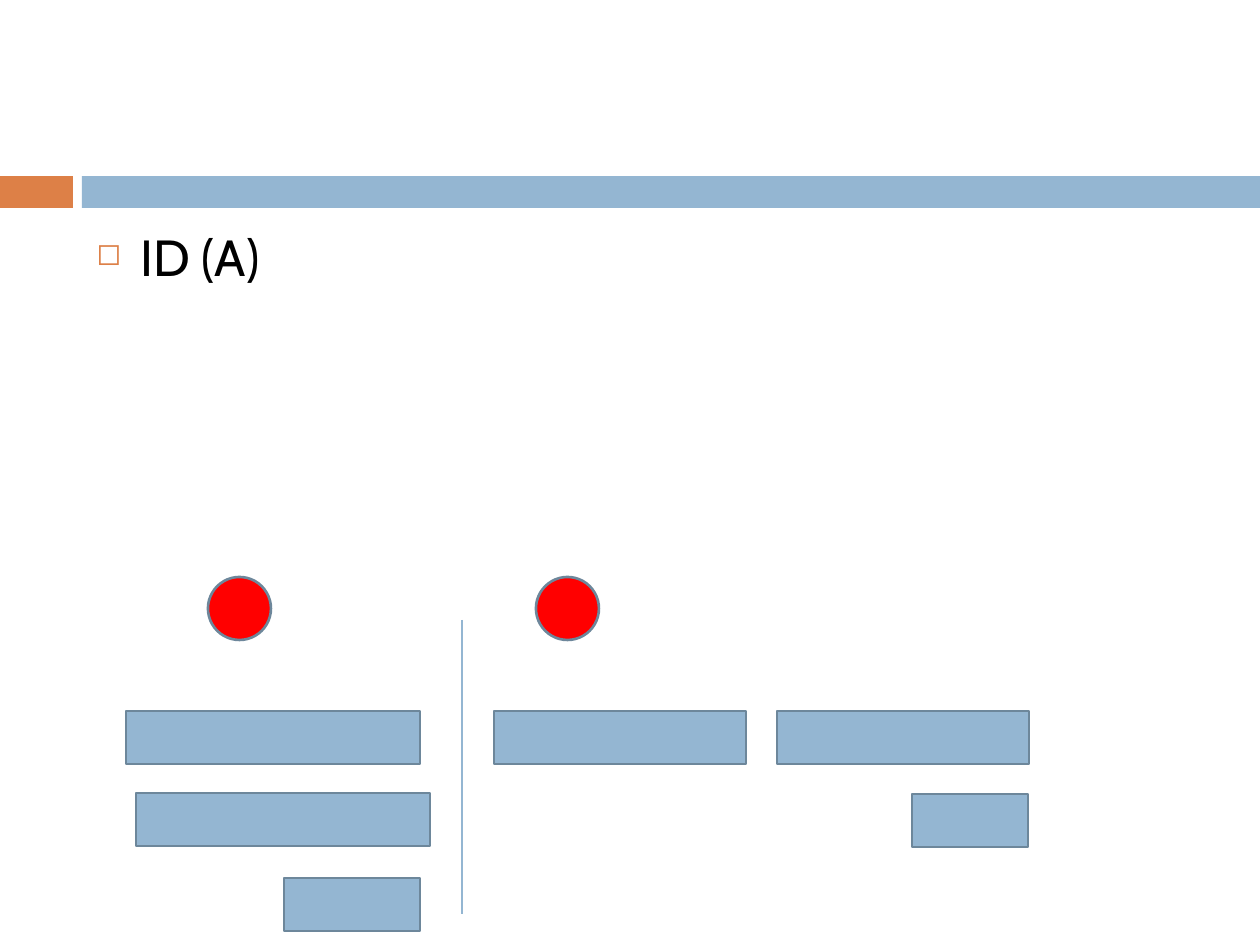
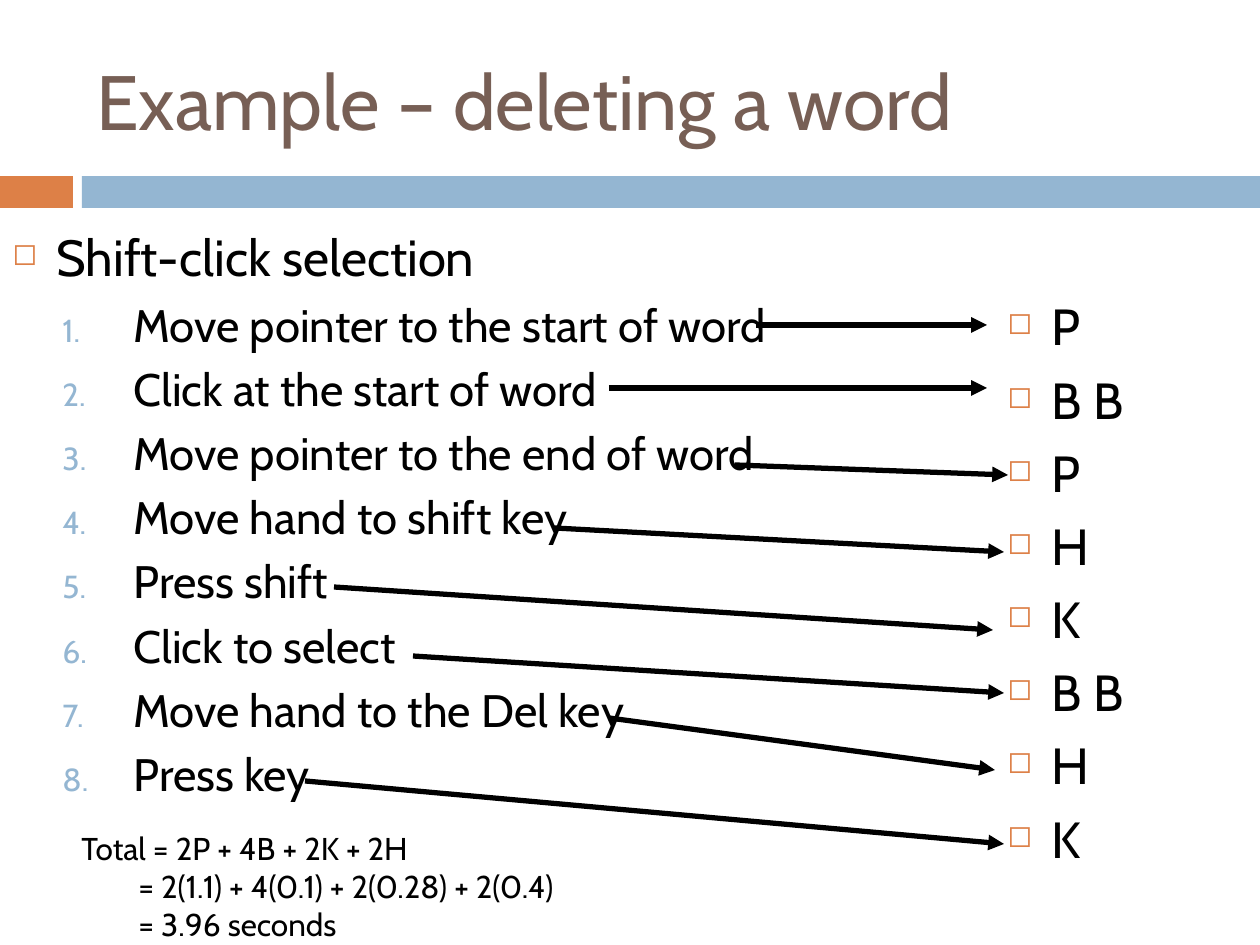
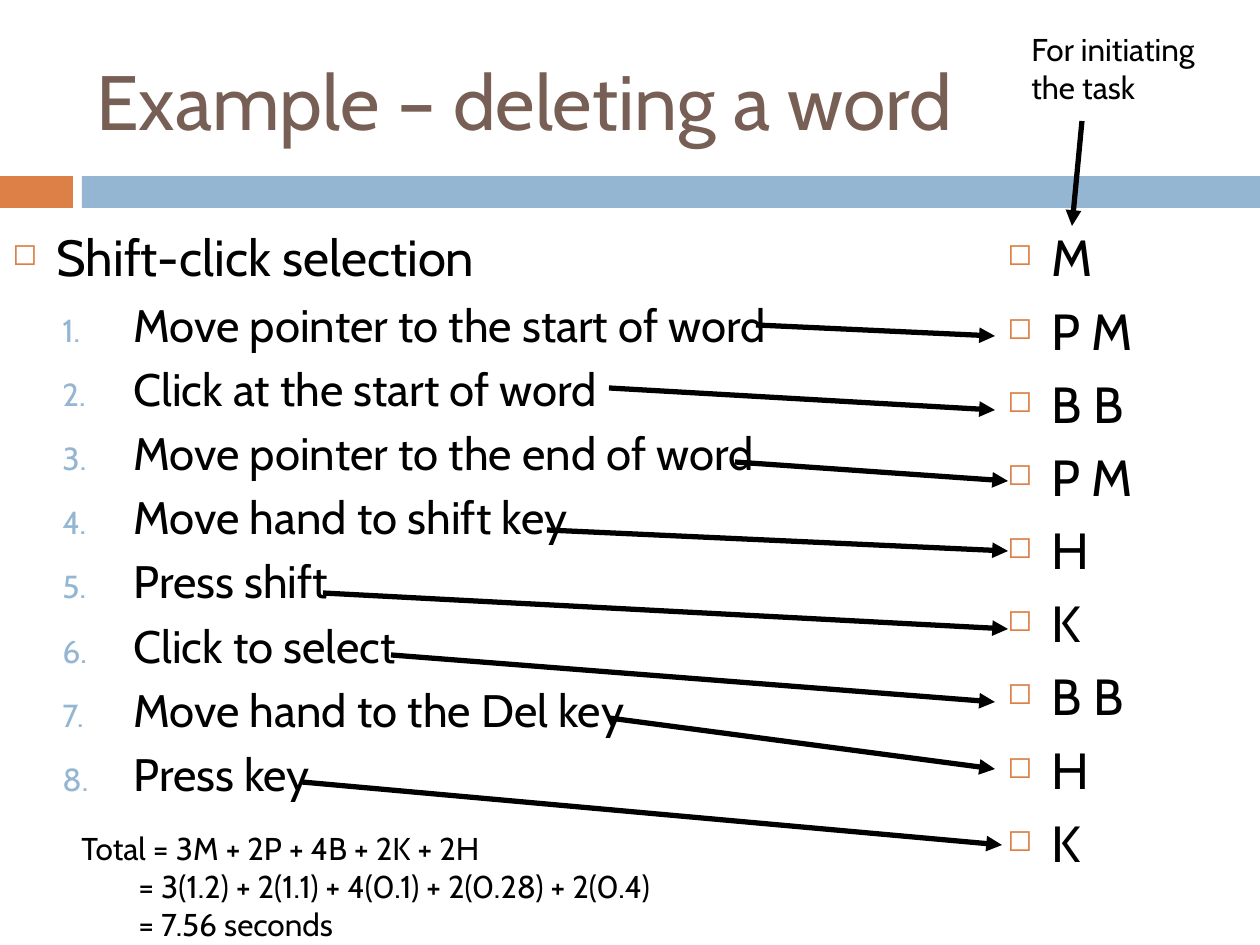
from lxml import etree
from pptx import Presentation
from pptx.dml.color import RGBColor
from pptx.enum.shapes import MSO_CONNECTOR, MSO_SHAPE
from pptx.enum.text import MSO_ANCHOR
from pptx.oxml.ns import qn
from pptx.util import Pt

RECTANGLE = MSO_SHAPE.RECTANGLE
OVAL = MSO_SHAPE.OVAL
STRAIGHT = MSO_CONNECTOR.STRAIGHT
MIDDLE = MSO_ANCHOR.MIDDLE
TOP = MSO_ANCHOR.TOP

PIXEL = 914400 / 126
FONT = "Cabin"
COLORS = {
    "orange": "DD8047",
    "blue": "94B6D2",
    "outline": "6D879B",
    "red": "FF0000",
    "title": "775F55",
    "black": "000000",
}

BANDS = [("orange", (0, 176, 73, 32)), ("blue", (82, 176, 1178, 32))]
TITLE_BOX = (84, 32, 1124, 136)
STEPS_BOX = (0, 220, 788, 620)

SQUARE = {"tag": "a:buChar", "attribute": ("char", "◻"), "color": "orange",
          "percent": 60, "margin": 44, "hanging": 44, "before": 7}
NUMBER = {"tag": "a:buAutoNum", "attribute": ("type", "arabicPeriod"), "color": "blue",
          "percent": 70, "margin": 121, "hanging": 71, "before": 5.5}

BLOCK_HEIGHT = 53
BLOCKS = [(126, 711, 294), (136, 793, 294), (284, 878, 136),
          (494, 711, 252), (777, 711, 252), (912, 794, 116)]
CIRCLE_SIZE = 63
CIRCLES = [(208, 577), (536, 577)]
DIVIDER = (462, 620, 462, 914)

TITLE = "Example – deleting a word"
HEADING = "Shift-click selection"
STEPS = [
    "Move pointer to the start of word",
    "Click at the start of word",
    "Move pointer to the end of word",
    "Move hand to shift key",
    "Press shift",
    "Click to select",
    "Move hand to the Del key",
    "Press key",
]

EXAMPLES = [
    {
        "operators": ["P", "B B", "P", "H", "K", "B B", "H", "K"],
        "operators_box": (995, 289, 169, 620),
        "total": ["Total = 2P + 4B + 2K + 2H",
                  "= 2(1.1) + 4(0.1) + 2(0.28) + 2(0.4)",
                  "= 3.96 seconds"],
        "total_width": 567,
        "arrows": [(756, 325, 987, 325), (609, 388, 987, 388),
                   (735, 465, 1008, 475), (554, 528, 1004, 552),
                   (334, 587, 993, 630), (413, 656, 1004, 693),
                   (609, 718, 995, 770), (305, 781, 1004, 844)],
    },
    {
        "operators": ["M", "P M", "B B", "P M", "H", "K", "B B", "H", "K"],
        "operators_box": (995, 220, 169, 688),
        "total": ["Total = 3M + 2P + 4B + 2K + 2H",
                  "= 3(1.2) + 2(1.1) + 4(0.1) + 2(0.28) + 2(0.4)",
                  "= 7.56 seconds"],
        "total_width": 683,
        "arrows": [(756, 325, 995, 336), (609, 388, 995, 410),
                   (735, 462, 1008, 481), (547, 530, 1008, 551),
                   (323, 593, 1008, 629), (391, 655, 995, 702),
                   (609, 718, 995, 769), (302, 782, 1002, 845),
                   (1082, 121, 1072, 226)],
        "note": ("For initiating the task", (1019, 24, 200, 89)),
    },
]


def emu(*lengths):
    return [round(length * PIXEL) for length in lengths]


def rgb(name):
    return RGBColor.from_string(COLORS[name])


def add_block(slide, kind, box, fill, outline=None):
    shape = slide.shapes.add_shape(kind, *emu(*box))
    shape.shadow.inherit = False
    shape.fill.solid()
    shape.fill.fore_color.rgb = rgb(fill)
    if outline:
        shape.line.color.rgb = rgb(outline)
        shape.line.width = Pt(1.5)
    else:
        shape.line.fill.background()


def add_line(slide, ends, color, width, arrow=False):
    connector = slide.shapes.add_connector(STRAIGHT, *emu(*ends))
    connector.line.color.rgb = rgb(color)
    connector.line.width = Pt(width)
    if arrow:
        line = connector.line._get_or_add_ln()
        etree.SubElement(line, qn("a:tailEnd"), type="triangle")
    etree.SubElement(connector._element.spPr, qn("a:effectLst"))


def set_indent(paragraph, margin, hanging=0):
    properties = paragraph._p.get_or_add_pPr()
    left, first = emu(margin, -hanging)
    properties.set("marL", str(left))
    properties.set("indent", str(first))
    return properties


def add_bullet(paragraph, bullet):
    properties = set_indent(paragraph, bullet["margin"], bullet["hanging"])
    color = etree.SubElement(properties, qn("a:buClr"))
    etree.SubElement(color, qn("a:srgbClr"), val=COLORS[bullet["color"]])
    etree.SubElement(properties, qn("a:buSzPct"), val=str(bullet["percent"] * 1000))
    etree.SubElement(properties, qn(bullet["tag"])).set(*bullet["attribute"])


def add_text(slide, box, lines, color="black", anchor=TOP):
    frame = slide.shapes.add_textbox(*emu(*box)).text_frame
    frame.word_wrap = True
    frame.vertical_anchor = anchor
    for index, (text, size, bullet, margin) in enumerate(lines):
        paragraph = frame.add_paragraph() if index else frame.paragraphs[0]
        paragraph.text = text
        if bullet:
            add_bullet(paragraph, bullet)
            if index:
                paragraph.space_before = Pt(bullet["before"])
        elif margin:
            set_indent(paragraph, margin)
        paragraph.font.name = FONT
        paragraph.font.size = Pt(size)
        paragraph.font.color.rgb = rgb(color)


def add_banded_slide(presentation):
    slide = presentation.slides.add_slide(presentation.slide_layouts[6])
    for color, box in BANDS:
        add_block(slide, RECTANGLE, box, color)
    return slide


def build_difficulty_slide(presentation):
    slide = add_banded_slide(presentation)
    add_text(slide, (84, 220, 1124, 179), [("ID (A)", 29, SQUARE, 0)])
    for left, top, width in BLOCKS:
        add_block(slide, RECTANGLE, (left, top, width, BLOCK_HEIGHT), "blue", "outline")
    add_line(slide, DIVIDER, "blue", 0.79)
    for left, top in CIRCLES:
        add_block(slide, OVAL, (left, top, CIRCLE_SIZE, CIRCLE_SIZE), "red", "outline")


def build_example_slide(presentation, example):
    slide = add_banded_slide(presentation)
    add_text(slide, TITLE_BOX, [(TITLE, 44, None, 0)], "title", MIDDLE)
    steps = [(step, 26, NUMBER, 0) for step in STEPS]
    add_text(slide, STEPS_BOX, [(HEADING, 29, SQUARE, 0)] + steps)
    operators = [(operator, 29, SQUARE, 0) for operator in example["operators"]]
    add_text(slide, example["operators_box"], operators)
    total = [(line, 18, None, 57 if index else 0)
             for index, line in enumerate(example["total"])]
    add_text(slide, (69, 823, example["total_width"], 127), total)
    for ends in example["arrows"]:
        add_line(slide, ends, "black", 3, arrow=True)
    if "note" in example:
        text, box = example["note"]
        add_text(slide, box, [(text, 18, None, 0)])


def main():
    presentation = Presentation()
    presentation.slide_width, presentation.slide_height = emu(1260, 945)
    build_difficulty_slide(presentation)
    for example in EXAMPLES:
        build_example_slide(presentation, example)
    presentation.save("out.pptx")


if __name__ == "__main__":
    main()
